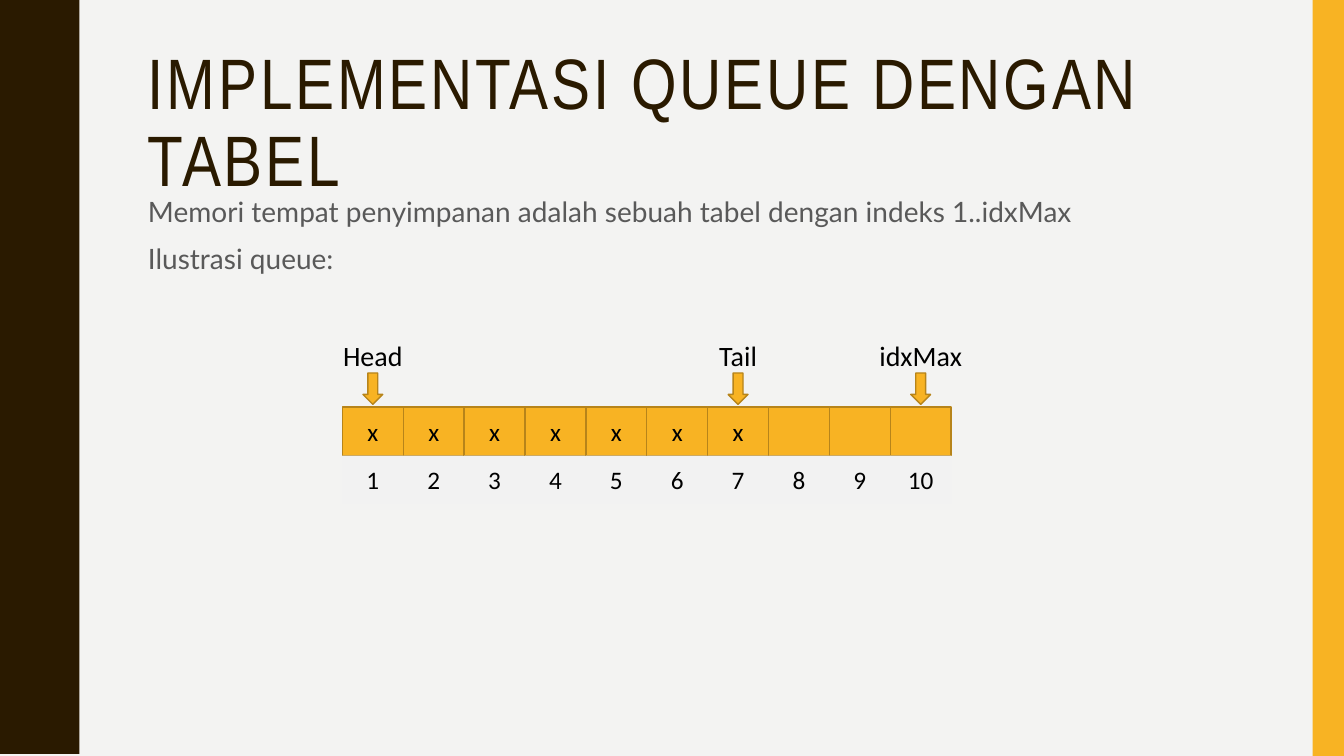
"""Build the slide on implementing a queue with a table."""
from pptx import Presentation
from pptx import util as u
from pptx.dml.color import RGBColor
from pptx.enum import shapes, text

BROWN = RGBColor(0x2A, 0x1A, 0x00)
AMBER = RGBColor(0xF8, 0xB3, 0x23)
AMBER_EDGE = RGBColor(0xB7, 0x84, 0x1A)
PAPER = RGBColor(0xF3, 0xF3, 0xF2)
INDEX_FILL = RGBColor(0xF2, 0xF2, 0xF2)
GRAY = RGBColor(0x59, 0x59, 0x59)
BLACK = RGBColor(0x00, 0x00, 0x00)

WIDTH, HEIGHT = 33.87, 19.05
WAVE_COUNT = 5
HALF_WAVE = [(1.98, 0), (1.98, 0.18), (2.01, 0.36), (2.03, 0.51), (2.06, 0.64),
             (2.11, 0.74), (2.16, 0.84), (2.21, 0.97), (2.26, 1.07), (2.31, 1.17),
             (2.36, 1.27), (2.41, 1.4), (2.44, 1.55), (2.46, 1.73), (2.46, 1.9)]
CELL_COUNT = 10
FILLED_COUNT = 7
POINTERS = [("Head", 1, 2.06), ("Tail", 7, 1.47), ("idxMax", 10, 2.62)]


def paint(shape, fill, line=None):
    """Give a shape a flat fill and an optional outline."""
    shape.shadow.inherit = False
    shape.fill.solid()
    shape.fill.fore_color.rgb = fill
    if line is None:
        shape.line.fill.background()
    else:
        shape.line.color.rgb = line
        shape.line.width = u.Pt(1)


def style(paragraph, font_name, size, color):
    """Set the font of every run in a paragraph."""
    for run in paragraph.runs:
        run.font.name = font_name
        run.font.size = u.Pt(size)
        run.font.color.rgb = color


def add_shape(parent, kind, left, top, width, height, fill, line=None):
    """Add a painted preset shape, measured in centimetres."""
    shape = parent.shapes.add_shape(kind, u.Cm(left), u.Cm(top), u.Cm(width), u.Cm(height))
    paint(shape, fill, line)
    return shape


def add_text(parent, left, top, width, height, wrap=True):
    """Add an empty text box and return its frame."""
    box = parent.shapes.add_textbox(u.Cm(left), u.Cm(top), u.Cm(width), u.Cm(height))
    box.text_frame.word_wrap = wrap
    return box.text_frame


def add_borders(slide, width, height):
    """Draw the wavy left band and the straight right band."""
    period = height / WAVE_COUNT
    wave = HALF_WAVE + [(x, period - y) for x, y in reversed(HALF_WAVE)]
    edge = [(x, y + number * period) for number in range(WAVE_COUNT) for x, y in wave]
    builder = slide.shapes.build_freeform(0, 0, scale=u.Cm(1))
    builder.add_line_segments(edge + [(0, height)], close=True)
    paint(builder.convert_to_shape(), BROWN)
    add_shape(slide, shapes.MSO_SHAPE.RECTANGLE, width - 0.79, 0, 0.79, height, AMBER)


def add_title(slide, left, top, width, height):
    """Write the slide title."""
    frame = add_text(slide, left, top, width, height)
    frame.vertical_anchor = text.MSO_ANCHOR.MIDDLE
    frame.text = "IMPLEMENTASI QUEUE DENGAN TABEL"
    paragraph = frame.paragraphs[0]
    paragraph.line_spacing = 0.9
    style(paragraph, "Arial Narrow", 51, BROWN)
    paragraph.runs[0].font._element.set("spc", "200")


def add_body(slide, left, top, width, height):
    """Write the two introductory lines."""
    frame = add_text(slide, left, top, width, height)
    frame.text = ("Memori tempat penyimpanan adalah sebuah tabel dengan indeks 1..idxMax\n"
                  "Ilustrasi queue:")
    for paragraph in frame.paragraphs:
        paragraph.line_spacing = 1.1
        style(paragraph, "Lato", 20, GRAY)
    frame.paragraphs[1].space_before = u.Pt(7)


def add_cell(group, content, left, top, width, height, fill, line=None):
    """Draw one cell with centred content."""
    cell = add_shape(group, shapes.MSO_SHAPE.RECTANGLE, left, top, width, height, fill, line)
    frame = cell.text_frame
    frame.vertical_anchor = text.MSO_ANCHOR.MIDDLE
    frame.text = content
    frame.paragraphs[0].alignment = text.PP_ALIGN.CENTER
    style(frame.paragraphs[0], "Calibri", 18, BLACK)


def add_pointer(slide, label, label_width, center, top):
    """Draw a label with an arrow pointing down at a cell."""
    group = slide.shapes.add_group_shape()
    frame = add_text(group, center - label_width / 2, top, label_width, 1.12, wrap=False)
    frame.text = label
    frame.paragraphs[0].alignment = text.PP_ALIGN.CENTER
    style(frame.paragraphs[0], "Calibri", 20, BLACK)
    add_shape(group, shapes.MSO_SHAPE.DOWN_ARROW, center - 0.25, top + 0.99, 0.5, 0.79,
              AMBER, AMBER_EDGE)


def add_queue(slide, left, top, width, height):
    """Draw the pointers, the queue cells and their indices."""
    cell_width = width / CELL_COUNT
    cell_height = 1.22
    cells_top = top + height - 2 * cell_height
    group = slide.shapes.add_group_shape()
    for column in range(CELL_COUNT):
        cell_left = left + column * cell_width
        content = "x" if column < FILLED_COUNT else ""
        add_cell(group, content, cell_left, cells_top, cell_width, cell_height,
                 AMBER, AMBER_EDGE)
        add_cell(group, str(column + 1), cell_left, cells_top + cell_height,
                 cell_width, cell_height, INDEX_FILL)
    for label, index, label_width in POINTERS:
        add_pointer(slide, label, label_width, left + (index - 0.5) * cell_width, top)


def main():
    """Assemble and save the presentation."""
    presentation = Presentation()
    presentation.slide_width = u.Cm(WIDTH)
    presentation.slide_height = u.Cm(HEIGHT)
    slide = presentation.slides.add_slide(presentation.slide_layouts[6])
    slide.background.fill.solid()
    slide.background.fill.fore_color.rgb = PAPER
    add_borders(slide, WIDTH, HEIGHT)
    add_title(slide, 3.48, 1.07, 28.27, 4.14)
    add_body(slide, 3.48, 4.7, 28.27, 11.63)
    add_queue(slide, 8.63, 8.41, 15.34, 4.29)
    presentation.save("out.pptx")


if __name__ == "__main__":
    main()
